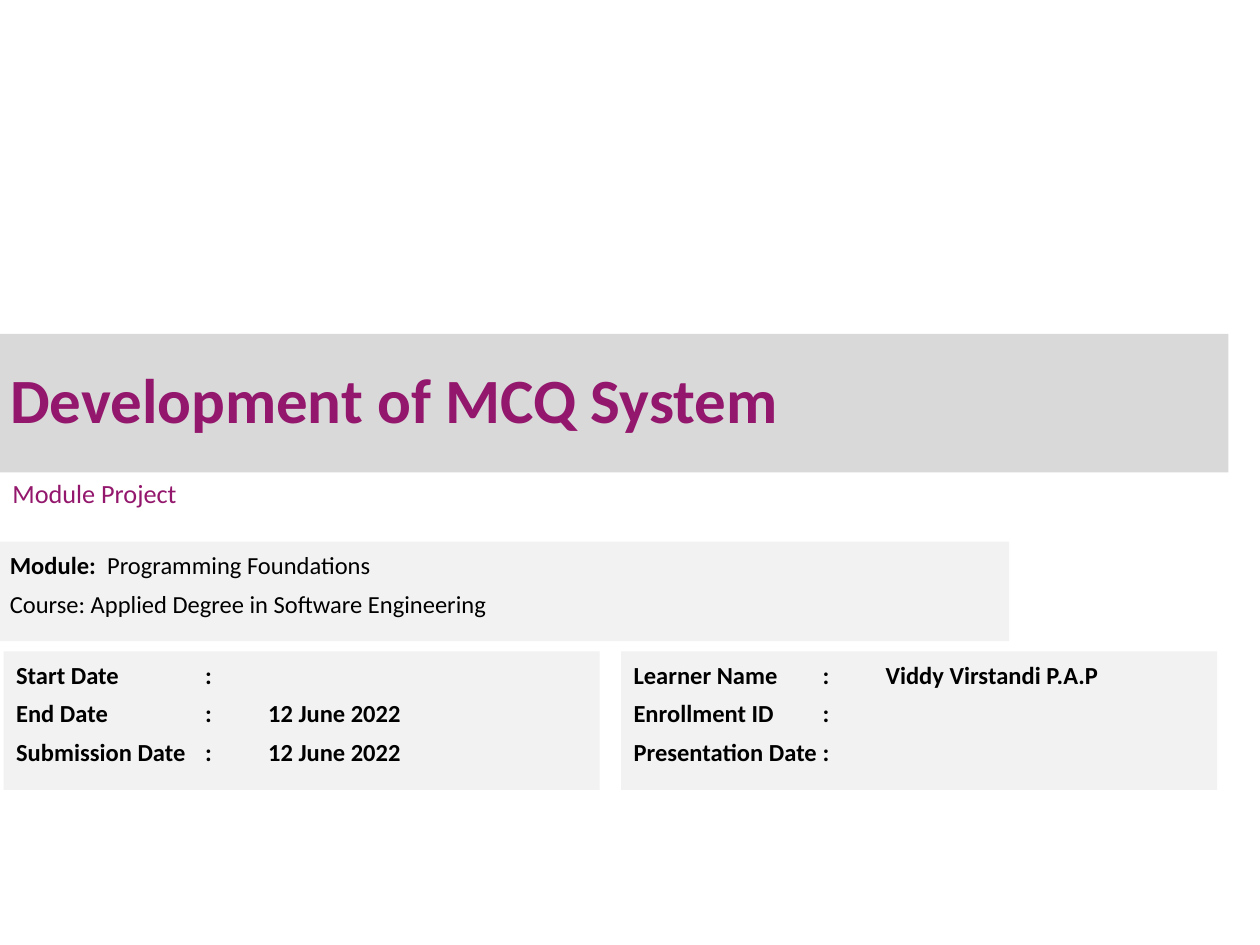
import pptx
import pptx.util
import pptx.dml.color
import pptx.enum.shapes
import pptx.enum.text
import pptx.oxml

PLUM = pptx.dml.color.RGBColor(0x93, 0x17, 0x6C)
BLACK = pptx.dml.color.RGBColor(0, 0, 0)
SILVER = pptx.dml.color.RGBColor(0xD9, 0xD9, 0xD9)
MIST = pptx.dml.color.RGBColor(0xF2, 0xF2, 0xF2)

deck = pptx.Presentation()
deck.slide_width = pptx.util.Inches(10)
deck.slide_height = pptx.util.Inches(7.5)
page = deck.slides.add_slide(deck.slide_layouts[6])
column = deck.slide_width / 100
row = deck.slide_height / 100
TAB_COLUMNS = (15, 20)


def add_band(left, top, width, height, fill, margins, anchor):
    box = page.shapes.add_shape(
        pptx.enum.shapes.MSO_SHAPE.RECTANGLE,
        round(left * column), round(top * row), round(width * column), round(height * row))
    box.shadow.inherit = False
    box.line.fill.background()
    if fill is None:
        box.fill.background()
    else:
        box.fill.solid()
        box.fill.fore_color.rgb = fill
    side, edge = margins
    frame_format = {
        "word_wrap": True, "vertical_anchor": anchor,
        "margin_left": round(side * column), "margin_right": round(side * column),
        "margin_top": round(edge * row), "margin_bottom": round(edge * row)}
    for name, value in frame_format.items():
        setattr(box.text_frame, name, value)
    return box.text_frame


def add_lines(frame, lines, size, color, para_format, tabs=()):
    for index, spans in enumerate(lines):
        para = frame.add_paragraph() if index else frame.paragraphs[0]
        para.alignment = pptx.enum.text.PP_ALIGN.LEFT
        for name, value in para_format.items():
            if index or name != "space_before":
                setattr(para, name, value)
        if tabs:
            stops = "".join(f'<a:tab pos="{round(tab * column)}" algn="l"/>' for tab in tabs)
            para._p.get_or_add_pPr().append(pptx.oxml.parse_xml(
                '<a:tabLst xmlns:a="http://schemas.openxmlformats.org/drawingml/2006/main">'
                f'{stops}</a:tabLst>'))
        for text, bold in spans:
            span = para.add_run()
            span.text = text
            span.font.color.rgb = color
            for name, value in {"name": "Calibri", "size": pptx.util.Pt(size), "bold": bold}.items():
                setattr(span.font, name, value)


middle = pptx.enum.text.MSO_ANCHOR.MIDDLE
top = pptx.enum.text.MSO_ANCHOR.TOP
margins = (1, 0.67)
body_format = {
    "line_spacing": pptx.util.Pt(18),
    "space_before": pptx.util.Pt(2), "space_after": pptx.util.Pt(2)}

title = add_band(0, 35.33, 97.5, 14.67, SILVER, (0.8, 0.53), middle)
add_lines(title, [[("Development of MCQ System", True)]], 36, PLUM, {"line_spacing": 0.9})

subtitle = add_band(0, 48, 64.2, 8.27, None, margins, middle)
add_lines(subtitle, [[("Module Project", False)]], 15, PLUM, {})

module = add_band(-0.2, 57.33, 80.3, 10.53, MIST, margins, top)
add_lines(module, [
    [("Module: ", True), (" Programming Foundations", False)],
    [("Course: Applied Degree in Software Engineering", False)],
], 14, BLACK, body_format)

details = [
    [("Start Date", ""), ("End Date", "12 June 2022"), ("Submission Date", "12 June 2022")],
    [("Learner Name", "Viddy Virstandi P.A.P"), ("Enrollment ID", ""), ("Presentation Date", "")],
]
for index, entries in enumerate(details):
    panel = add_band(0.3 + index * 49, 68.93, 47.3, 14.67, MIST, margins, top)
    lines = [[(f"{label}\t:\t{value}", True)] for label, value in entries]
    add_lines(panel, lines, 14, BLACK, body_format, TAB_COLUMNS)

deck.save("out.pptx")
